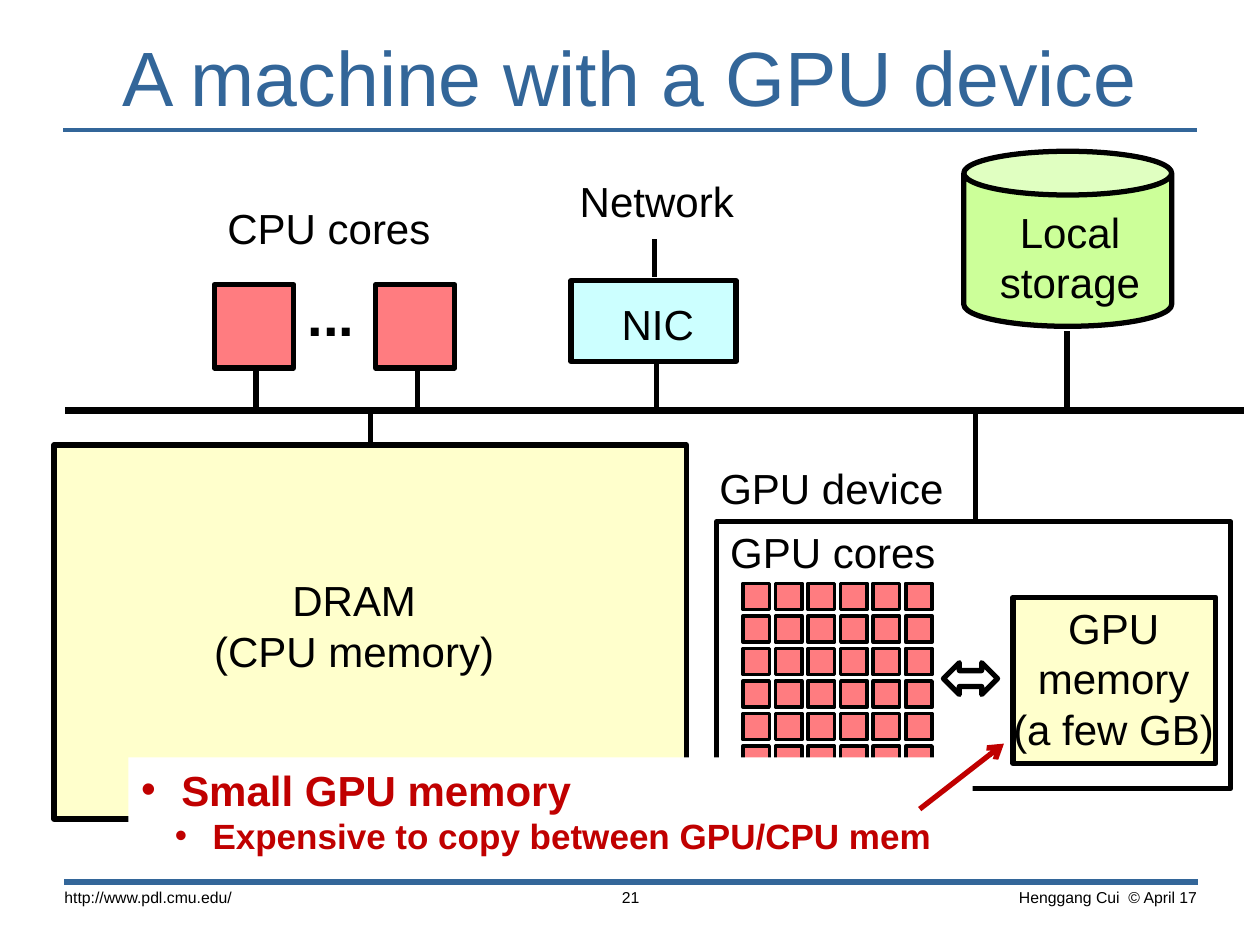
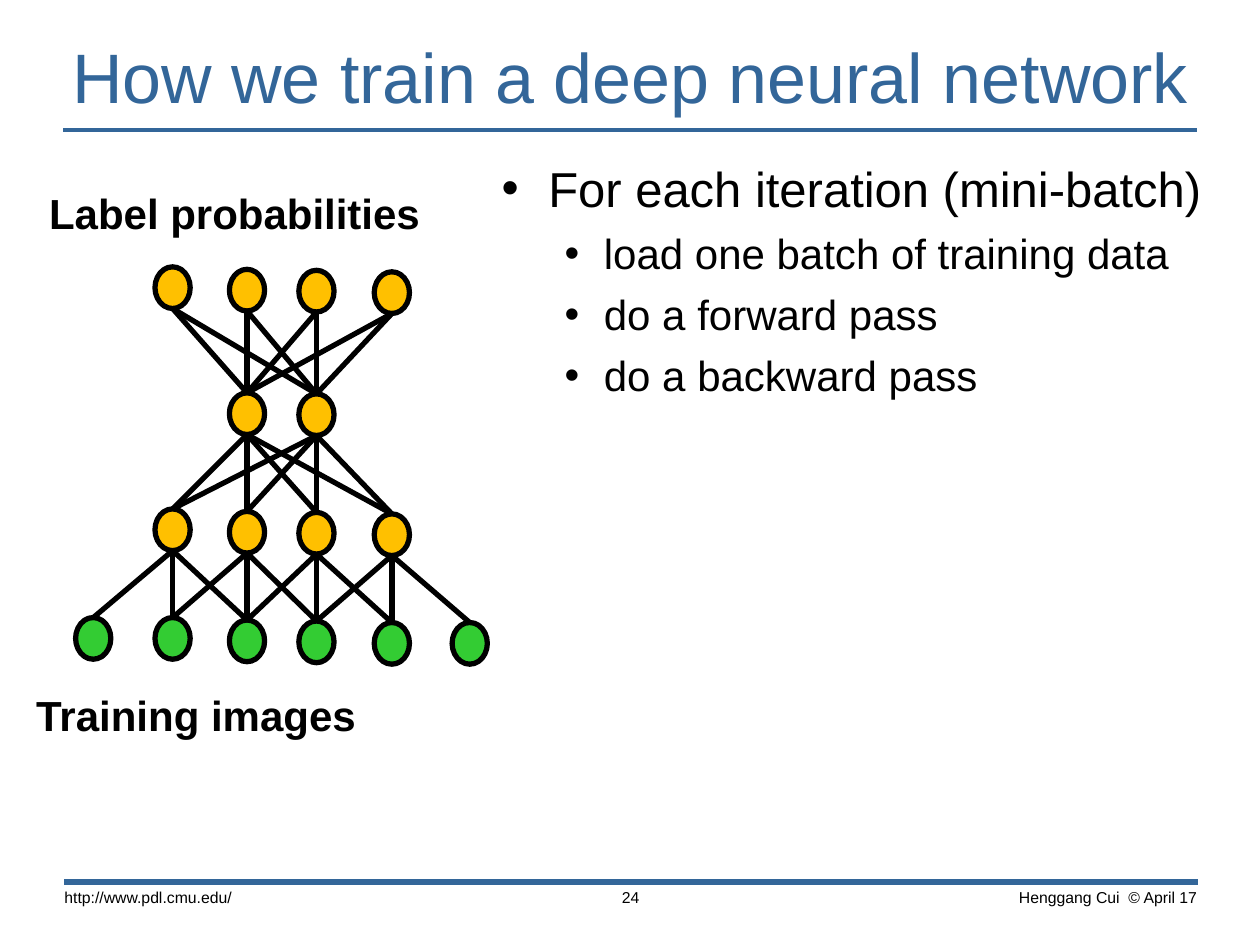
from dataclasses import dataclass
from itertools import pairwise, product
from typing import Any

from lxml.etree import SubElement
from pptx import Presentation
from pptx.dml.color import RGBColor
from pptx.enum.shapes import MSO_CONNECTOR as Wire, MSO_SHAPE as Form
from pptx.enum.text import MSO_ANCHOR as Anchor, MSO_AUTO_SIZE as Fit, PP_ALIGN as Align
from pptx.oxml.ns import qn
from pptx.util import Cm, Pt

COLOURS = {
    "blue": "336699", "black": "000000", "white": "FFFFFF", "red": "C00000",
    "core": "FF7C80", "memory": "FFFFCC", "nic": "CCFFFF", "storage": "CCFF99",
    "input": "33CC33", "neuron": "FFC000",
}
FONT = "Arial"
LABEL_WIDTH = 6.76
LINE_HEIGHT = 1.27
PLAIN_FRAME = {"word_wrap": True, "auto_size": Fit.NONE}
FOOTER_FRAME = {"margin_left": Cm(0.28), "margin_right": Cm(0.28),
                "margin_top": Cm(0.15), "margin_bottom": Cm(0.15)}


def colour(name):
    """Return the named colour."""
    return RGBColor.from_string(COLOURS[name])


def apply(target, values):
    """Set each attribute in values on target."""
    for name, value in values.items():
        setattr(target, name, value)


def style_spans(para, size, tint="black", bold=False):
    """Format every span of a paragraph."""
    for span in para.runs:
        apply(span.font, {"name": FONT, "size": Pt(size), "bold": bold})
        span.font.color.rgb = colour(tint)


def place(shape, left, top, width, height):
    """Move a placeholder to a box in centimetres."""
    apply(shape, {"left": Cm(left), "top": Cm(top), "width": Cm(width), "height": Cm(height)})


@dataclass
class Panel:
    """A region of a page that draws its parts from its own corner."""

    page: Any
    left: float = 0
    top: float = 0

    def box(self, x, y, width, height):
        """Turn a relative box into page lengths."""
        return Cm(self.left + x), Cm(self.top + y), Cm(width), Cm(height)

    def shape(self, form, x, y, width, height, fill=None, weight=3):
        """Add an outlined preset shape."""
        shape = self.page.shapes.add_shape(form, *self.box(x, y, width, height))
        shape.shadow.inherit = False
        if fill:
            shape.fill.solid()
            shape.fill.fore_color.rgb = colour(fill)
        else:
            shape.fill.background()
        shape.line.color.rgb = colour("black")
        shape.line.width = Pt(weight)

    def label(self, text, x, y, width=LABEL_WIDTH, height=LINE_HEIGHT, size=24,
              align=Align.CENTER, bold=False, frame_format=None):
        """Add a text box with one paragraph for each line."""
        frame = self.page.shapes.add_textbox(*self.box(x, y, width, height)).text_frame
        apply(frame, PLAIN_FRAME | (frame_format or {}))
        frame.text = text
        for para in frame.paragraphs:
            para.alignment = align
            style_spans(para, size, bold=bold)

    def line(self, x1, y1, x2, y2, tint="black", weight=3, arrow=False):
        """Add a straight line, with an arrowhead at its end if asked."""
        ends = self.box(x1, y1, self.left + x2, self.top + y2)
        wire = self.page.shapes.add_connector(Wire.STRAIGHT, *ends)
        wire.line.color.rgb = colour(tint)
        wire.line.width = Pt(weight)
        props = wire._element.spPr
        if arrow:
            SubElement(props.find(qn("a:ln")), qn("a:tailEnd"), type="arrow")
        SubElement(props, qn("a:effectLst"))


def add_page(deck, title, size, number):
    """Add a page with its title, rules and footer."""
    page = deck.slides.add_slide(deck.slide_layouts[1])
    heading = page.shapes.title
    place(heading, 0, 0.58, 25.4, 1.9)
    heading.text = title
    apply(heading.text_frame, PLAIN_FRAME | {"vertical_anchor": Anchor.MIDDLE})
    para = heading.text_frame.paragraphs[0]
    para.alignment = Align.CENTER
    style_spans(para, size, "blue")

    panel = Panel(page)
    panel.line(1.27, 2.62, 24.13, 2.62, "blue", 2)
    panel.line(1.3, 17.78, 24.16, 17.78, "blue", 3.5)
    footers = [
        ("http://www.pdl.cmu.edu/", 1.02, 6.35, Align.LEFT),
        (str(number), 10.24, 4.95, Align.CENTER),
        ("Henggang Cui  © April 17", 17.96, 6.45, Align.RIGHT),
    ]
    for text, left, width, align in footers:
        panel.label(text, left, 17.75, width, 1.07, 9, align, frame_format=FOOTER_FRAME)
    return page


def fill_list(body, items, levels, tint="black", bold=False):
    """Fill a body placeholder with (level, text) items."""
    frame = body.text_frame
    apply(frame, PLAIN_FRAME)
    frame.text = "\n".join(text for _, text in items)
    for index, (para, (level, _)) in enumerate(zip(frame.paragraphs, items)):
        size, margin, hang, gap = levels[level]
        para.level = level
        props = para._p.get_or_add_pPr()
        props.set("marL", str(Cm(margin)))
        props.set("indent", str(-Cm(hang)))
        SubElement(props, qn("a:buFont"), typeface=FONT)
        SubElement(props, qn("a:buChar"), char="•")
        para.space_before = Pt(gap if index else 0)
        style_spans(para, size, tint, bold)


def draw_gpu_device(panel):
    """Draw the GPU device with its cores and memory."""
    panel.shape(Form.RECTANGLE, 0, 0, 10.36, 5.38)
    panel.label("GPU device", -1.07, -1.32)
    panel.shape(Form.RECTANGLE, 5.97, 1.52, 4.09, 3.35, "memory")
    panel.label("GPU\nmemory\n(a few GB)", 4.62, 1.5, height=3.33)
    pitch = 3.28 / 5
    for row, column in product(range(6), repeat=2):
        panel.shape(Form.RECTANGLE, 0.53 + column * pitch, 1.24 + row * pitch,
                    0.53, 0.53, "core", 2)
    panel.shape(Form.LEFT_RIGHT_ARROW, 4.57, 2.84, 1.09, 0.64)
    panel.line(5.21, -2.18, 5.21, 0)
    panel.label("GPU cores", -1.04, -0.03)


def draw_dram(panel):
    """Draw the CPU memory and its wire to the bus."""
    panel.shape(Form.RECTANGLE, 0, 0, 12.75, 7.54, "memory")
    panel.label("DRAM\n(CPU memory)", 2.67, 2.49, height=2.31)
    panel.line(6.38, -0.69, 6.38, 0)


def draw_nic(panel):
    """Draw the network card between network and bus."""
    panel.shape(Form.RECTANGLE, 0, 0, 3.33, 1.63, "nic")
    panel.label("NIC", -1.63, 0.23)
    panel.line(1.68, -0.84, 1.68, -0.08)
    panel.line(1.73, 1.68, 1.73, 2.62)
    panel.label("Network", -1.65, -2.24)


def draw_cpu_cores(panel):
    """Draw the row of CPU cores above the bus."""
    for left in (0, 3.25):
        panel.shape(Form.RECTANGLE, left, 0, 1.6, 1.68, "core")
        panel.line(left + 0.84, 1.68, left + 0.84, 2.54)
    panel.label("CPU cores", -1.07, -1.78)
    panel.label("...", 1.63, -0.2, 1.6, 1.63, 32, Align.LEFT, True)


def draw_storage(panel):
    """Draw the local storage and its wire to the bus."""
    panel.shape(Form.CAN, 0, 0, 4.19, 3.53, "storage")
    panel.line(2.08, 3.63, 2.08, 5.16)
    panel.label("Local\nstorage", -1.24, 0.99, height=2.31)


def draw_network(panel):
    """Draw the layers of neurons and the links between them."""
    centres = [0.36, 1.96, 3.46, 4.86, 6.38, 7.95]
    tilts = [0, 0, 0.05, 0.07, 0.1, 0.1]
    width, height = 0.71, 0.84
    layers = [
        (0, range(1, 5), "neuron", 5),
        (2.49, range(2, 4), "neuron", 5),
        (4.88, range(1, 5), "neuron", 1),
        (7.07, range(6), "input", 0),
    ]
    for top, columns, fill, _ in layers:
        for column in columns:
            panel.shape(Form.OVAL, centres[column] - width / 2, top + tilts[column],
                        width, height, fill)
    for (top, uppers, _, reach), (base, lowers, _, _) in pairwise(layers):
        for upper, lower in product(uppers, lowers):
            if abs(upper - lower) <= reach:
                panel.line(centres[upper], top + tilts[upper] + height,
                           centres[lower], base + tilts[lower])


def build_machine_page(deck):
    """Build the page on a machine with a GPU."""
    page = add_page(deck, "A machine with a GPU device", 44, 21)
    draw_gpu_device(Panel(page, 14.45, 10.52))
    panel = Panel(page)
    panel.line(1.32, 8.28, 25.07, 8.28, weight=4)
    draw_dram(Panel(page, 1.09, 8.97))
    draw_nic(Panel(page, 11.51, 5.66))
    draw_cpu_cores(Panel(page, 4.32, 5.74))
    draw_storage(Panel(page, 19.43, 3.05))

    body = page.placeholders[1]
    place(body, 2.59, 15.27, 17.02, 2.13)
    body.fill.solid()
    body.fill.fore_color.rgb = colour("white")
    items = [(0, "Small GPU memory"), (1, "Expensive to copy between GPU/CPU mem")]
    fill_list(body, items, [(24, 0.81, 0.81, 0), (20, 1.44, 0.76, 0)], "red", True)
    body.text_frame.vertical_anchor = Anchor.MIDDLE
    page.shapes._spTree.append(body._element)
    panel.line(18.54, 16.31, 20.24, 14.99, "red", arrow=True)


def build_training_page(deck):
    """Build the page on training a network."""
    page = add_page(deck, "How we train a deep neural network", 40, 24)
    draw_network(Panel(page, 1.52, 5.38))
    panel = Panel(page)
    panel.label("Label probabilities", 0.74, 3.66, 8.69, align=Align.LEFT, bold=True)
    panel.label("Training images", 0.48, 13.77, 8.69, align=Align.LEFT, bold=True)
    body = page.placeholders[1]
    place(body, 9.86, 3.07, 15.54, 12.9)
    items = [
        (0, "For each iteration (mini-batch)"),
        (1, "load one batch of training data"),
        (1, "do a forward pass"),
        (1, "do a backward pass"),
    ]
    fill_list(body, items, [(28, 0.94, 0.94, 0), (24, 2.06, 0.79, 6)])


def main():
    """Build and save the deck."""
    deck = Presentation()
    apply(deck, {"slide_width": Cm(25.4), "slide_height": Cm(19.05)})
    build_machine_page(deck)
    build_training_page(deck)
    deck.save("out.pptx")


if __name__ == "__main__":
    main()
